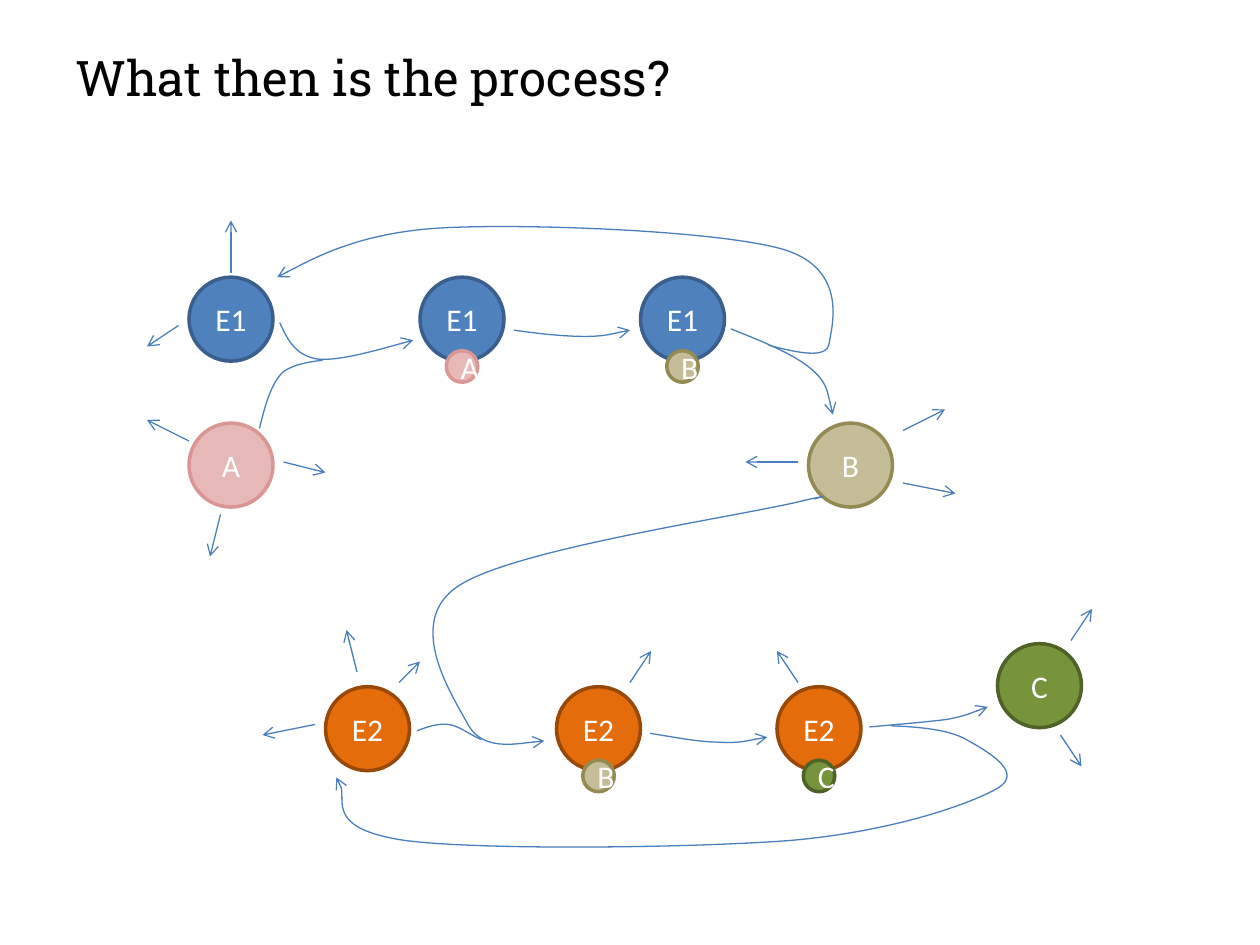
from pptx import Presentation
from pptx import util as u
from pptx.dml.color import RGBColor
from pptx.enum import shapes, text
from pptx.oxml.ns import qn
from lxml import etree

TITLE = "What then is the process?"
ARROW_COLOUR = "4B7EBC"
COLOURS = {
    "E1": ("4F81BD", "3A5F8C"),
    "E2": ("E46C0A", "984807"),
    "A": ("E6B9B8", "D99694"),
    "B": ("C4BD97", "948A54"),
    "C": ("77933C", "4F6228"),
}

CELL = 1 / 12
MOLECULE, BOUND = 8, 3
BOUND_DROP = 7

# molecule, column, row, bound molecule
MOLECULES = [
    ("E1", 18, 26.4, None),
    ("E1", 40, 26.4, "A"),
    ("E1", 61, 26.4, "B"),
    ("E2", 31, 65.4, None),
    ("E2", 53, 65.4, "B"),
    ("E2", 74, 65.4, "C"),
    ("A", 18, 40.3, None),
    ("B", 77, 40.3, None),
    ("C", 95, 61.3, None),
]

DRIFTS = {
    "E1": [(22, 26, 22, 21), (17, 31, 14, 33)],
    "A": [(27, 44, 31, 45), (21, 49, 20, 53), (18, 42, 14, 40)],
    "B": [(86, 41, 90, 39), (86, 46, 91, 47), (76, 44, 71, 44)],
    "E2": [(34, 64, 33, 60), (30, 69, 25, 70), (38, 65, 40, 63)],
    "E2 with B": [(60, 65, 62, 62)],
    "E2 with C": [(76, 65, 74, 62)],
    "C": [(102, 61, 104, 58), (101, 70, 103, 73)],
}

# has arrowhead, start and Bezier points in hundredths of an inch
REACTIONS = [
    (True, [(222, 256), (228, 269), (234, 282), (252, 285), (269, 287), (328, 270), (328, 270)]),
    (False, [(206, 340), (210, 323), (215, 306), (223, 297), (231, 288), (256, 286), (256, 286)]),
    (True, [(408, 262), (428, 265), (449, 267), (464, 267), (479, 267), (500, 262), (500, 262)]),
    (True, [(580, 261), (605, 271), (630, 281), (644, 293), (657, 304), (661, 329), (661, 329)]),
    (True, [(610, 274), (633, 280), (656, 285), (658, 273), (660, 260), (674, 214), (622, 198),
            (571, 183), (416, 177), (349, 181), (282, 185), (220, 220), (220, 220)]),
    (True, [(646, 396), (666, 391), (639, 397), (639, 397), (593, 409), (409, 435), (364, 465),
            (319, 494), (361, 555), (372, 576), (384, 596), (432, 588), (432, 588)]),
    (False, [(331, 580), (339, 577), (347, 574), (356, 575), (364, 576), (371, 582), (382, 587)]),
    (True, [(516, 582), (535, 585), (555, 589), (570, 589), (586, 590), (597, 587), (609, 585)]),
    (True, [(690, 577), (713, 575), (736, 573), (752, 571), (767, 568), (784, 561), (784, 561)]),
    (True, [(707, 576), (730, 577), (753, 579), (767, 587), (781, 595), (815, 613), (791, 626),
            (768, 639), (707, 660), (628, 667), (550, 673), (381, 675), (321, 667),
            (261, 658), (277, 624), (267, 617)]),
]


def rgb(colour):
    return RGBColor.from_string(colour)


def grid(*cells):
    return [u.Inches(cell * CELL) for cell in cells]


def style_text(frame, size, font, colour):
    run = frame.paragraphs[0].runs[0]
    run.font.size = u.Pt(size)
    run.font.name = font
    run.font.color.rgb = rgb(colour)


def style_arrow(arrow, headed=True):
    arrow.line.color.rgb = rgb(ARROW_COLOUR)
    arrow.line.width = u.Pt(0.75)
    if headed:
        line = arrow.element.spPr.find(qn("a:ln"))
        etree.SubElement(line, qn("a:tailEnd"), type="arrow")


def add_circle(slide, label, column, row, size):
    circle = slide.shapes.add_shape(shapes.MSO_SHAPE.OVAL, *grid(column, row, size, size))
    circle.shadow.inherit = False
    fill, outline = COLOURS[label]
    circle.fill.solid()
    circle.fill.fore_color.rgb = rgb(fill)
    circle.line.color.rgb = rgb(outline)
    circle.line.width = u.Pt(2)
    frame = circle.text_frame
    frame.text = label
    frame.vertical_anchor = text.MSO_ANCHOR.MIDDLE
    frame.paragraphs[0].alignment = text.PP_ALIGN.CENTER
    style_text(frame, 18, "Calibri", "FFFFFF")


def add_drift(slide, ends):
    drift = slide.shapes.add_connector(shapes.MSO_CONNECTOR.STRAIGHT, *grid(*ends))
    style_arrow(drift)
    etree.SubElement(drift.element.spPr, qn("a:effectLst"))


def add_reaction(slide, headed, points):
    builder = slide.shapes.build_freeform(*points[0], scale=u.Inches(0.01))
    builder.add_line_segments(points[1:], close=False)
    reaction = builder.convert_to_shape()
    reaction.shadow.inherit = False
    reaction.fill.background()
    style_arrow(reaction, headed)
    segments = list(reaction.element.iter(qn("a:lnTo")))
    outline = segments[0].getparent()
    for first in range(0, len(segments), 3):
        curve = etree.SubElement(outline, qn("a:cubicBezTo"))
        for segment in segments[first:first + 3]:
            curve.append(segment[0])
            outline.remove(segment)


def main():
    deck = Presentation()
    deck.slide_width, deck.slide_height = u.Inches(10), u.Inches(7.5)
    slide = deck.slides.add_slide(deck.slide_layouts[6])

    title = slide.shapes.add_textbox(*map(u.Inches, (0.5, 0.33, 9.25, 0.57))).text_frame
    title.word_wrap = True
    title.text = TITLE
    style_text(title, 28, "Roboto Slab", "000000")

    for label, column, row, bound in MOLECULES:
        add_circle(slide, label, column, row, MOLECULE)
        if bound:
            add_circle(slide, bound, column + (MOLECULE - BOUND) / 2, row + BOUND_DROP, BOUND)

    for headed, points in REACTIONS:
        add_reaction(slide, headed, points)

    for drifts in DRIFTS.values():
        for ends in drifts:
            add_drift(slide, ends)

    deck.save("out.pptx")


if __name__ == "__main__":
    main()
